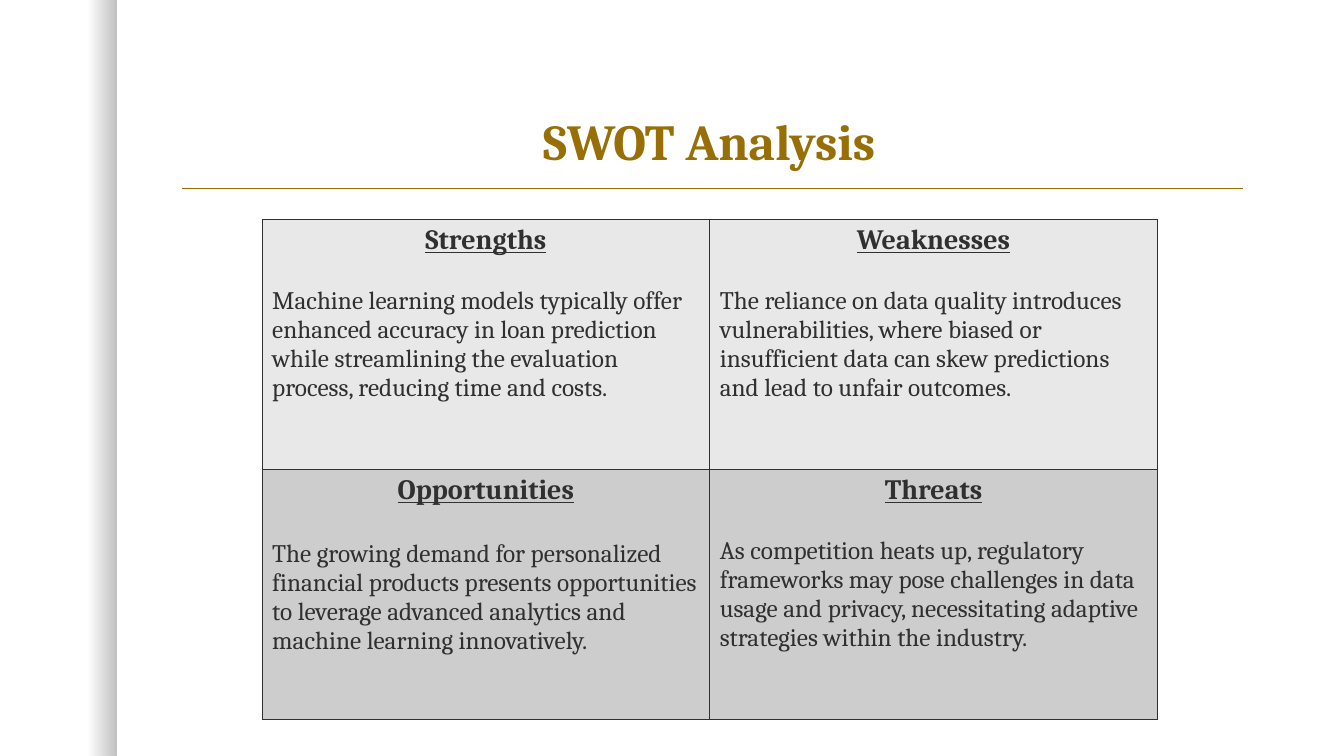
from dataclasses import dataclass

from lxml import etree
from pptx import Presentation
from pptx import util as u
from pptx.dml import color
from pptx.enum import shapes, text
from pptx.oxml import parse_xml
from pptx.oxml import ns

COLORS = {"gold": "986F07", "ink": "303030", "light": "E8E8E8", "medium": "CDCDCD", "shade": "000000"}
FONT = "Cambria"


@dataclass
class Quadrant:
    heading: str
    body: str
    fill: str
    gap: float = 21


QUADRANTS = [
    [
        Quadrant("Strengths", "Machine learning models typically offer enhanced accuracy in loan prediction "
                 "while streamlining the evaluation process, reducing time and costs.", "light"),
        Quadrant("Weaknesses", "The reliance on data quality introduces vulnerabilities, where biased or "
                 "insufficient data can skew predictions and lead to unfair outcomes.", "light"),
    ],
    [
        Quadrant("Opportunities", "The growing demand for personalized financial products presents opportunities "
                 "to leverage advanced analytics and machine learning innovatively.", "medium", gap=23.5),
        Quadrant("Threats", "As competition heats up, regulatory frameworks may pose challenges in data usage "
                 "and privacy, necessitating adaptive strategies within the industry.", "medium"),
    ],
]


def rgb(name: str) -> color.RGBColor:
    return color.RGBColor.from_string(COLORS[name])


def write(paragraph, content: str, *, size: float, ink: str = "ink", bold: bool = False,
          underline: bool = False, align=text.PP_ALIGN.LEFT, before: float = 0) -> None:
    paragraph.alignment = align
    paragraph.space_before = u.Pt(before)
    run = paragraph.add_run()
    run.text = content
    font = run.font
    font.name, font.size, font.bold, font.underline = FONT, u.Pt(size), bold, underline
    font.color.rgb = rgb(ink)


def add_side_shade(slide) -> None:
    shade = slide.shapes.add_shape(shapes.MSO_SHAPE.RECTANGLE, 0, 0, u.Inches(1.16), u.Inches(7.5))
    shade.shadow.inherit = False
    shade.line.fill.background()
    shade.fill.gradient()
    gradient = shade.element.spPr.find(ns.qn("a:gradFill"))
    stops = "".join(
        f'<a:gs pos="{position * 1000}"><a:srgbClr val="{COLORS["shade"]}">'
        f'<a:alpha val="{alpha * 1000}"/></a:srgbClr></a:gs>'
        for position, alpha in ((75, 0), (100, 25))
    )
    shade.element.spPr.replace(gradient, parse_xml(
        f'<a:gradFill {ns.nsdecls("a")} rotWithShape="1"><a:gsLst>{stops}</a:gsLst>'
        '<a:lin ang="0" scaled="0"/></a:gradFill>'))


def add_title_rule(slide) -> None:
    rule = slide.shapes.add_connector(shapes.MSO_CONNECTOR.STRAIGHT, u.Inches(1.81), u.Inches(1.87),
                                      u.Inches(12.33), u.Inches(1.87))
    rule.line.color.rgb = rgb("gold")
    rule.line.width = u.Pt(1)
    etree.SubElement(rule.element.spPr, ns.qn("a:effectLst"))


def add_title(slide, content: str) -> None:
    title = slide.shapes.title
    title.left, title.top = u.Inches(1.66), u.Inches(0.42)
    title.width, title.height = u.Inches(10.75), u.Inches(1.33)
    frame = title.text_frame
    frame.vertical_anchor = text.MSO_ANCHOR.BOTTOM
    frame.auto_size = text.MSO_AUTO_SIZE.NONE
    paragraph = frame.paragraphs[0]
    write(paragraph, content, size=36, ink="gold", bold=True, align=text.PP_ALIGN.CENTER)
    paragraph.line_spacing = 0.9


def set_borders(cell) -> None:
    properties = cell._tc.get_or_add_tcPr()
    for index, side in enumerate(("lnL", "lnR", "lnT", "lnB")):
        properties.insert(index, parse_xml(
            f'<a:{side} {ns.nsdecls("a")} w="{u.Pt(1)}"><a:solidFill>'
            f'<a:srgbClr val="{COLORS["ink"]}"/></a:solidFill></a:{side}>'))


def fill_cell(cell, quadrant: Quadrant) -> None:
    cell.fill.solid()
    cell.fill.fore_color.rgb = rgb(quadrant.fill)
    set_borders(cell)
    frame = cell.text_frame
    write(frame.paragraphs[0], quadrant.heading, size=20, bold=True, underline=True,
          align=text.PP_ALIGN.CENTER)
    write(frame.add_paragraph(), quadrant.body, size=18, before=quadrant.gap)


def add_swot_table(slide) -> None:
    table = slide.shapes.add_table(2, 2, u.Inches(2.6), u.Inches(2.18), u.Inches(8.88), u.Inches(4.96)).table
    table.first_row = table.horz_banding = False
    for row, quadrants in enumerate(QUADRANTS):
        for column, quadrant in enumerate(quadrants):
            fill_cell(table.cell(row, column), quadrant)


def main() -> None:
    presentation = Presentation()
    presentation.slide_width, presentation.slide_height = u.Inches(13.33), u.Inches(7.5)
    slide = presentation.slides.add_slide(presentation.slide_layouts[5])

    # Background decoration
    add_side_shade(slide)
    add_title_rule(slide)

    # Content
    add_title(slide, "SWOT Analysis")
    add_swot_table(slide)

    presentation.save("out.pptx")


if __name__ == "__main__":
    main()
